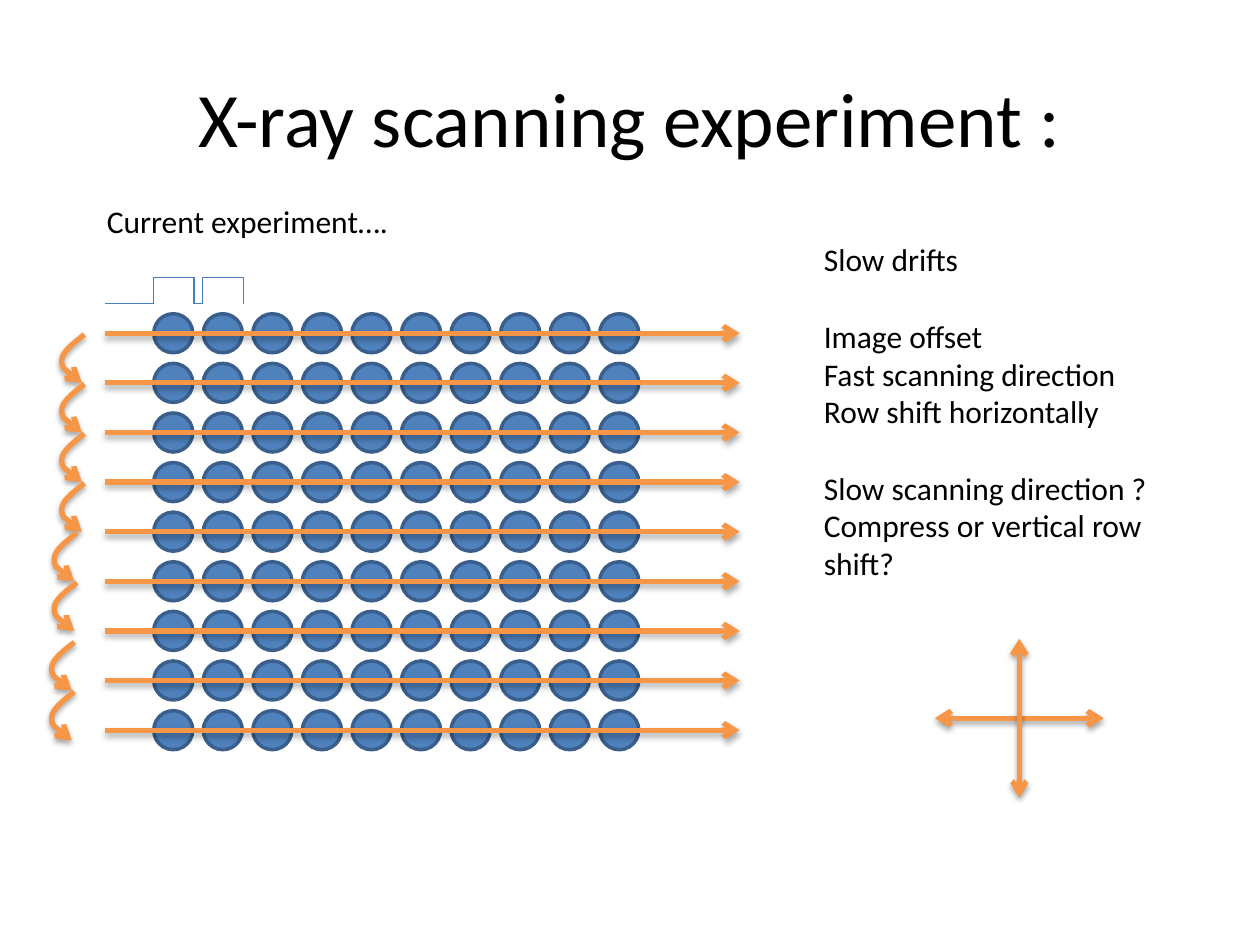
from itertools import pairwise

from lxml import etree
from pptx import Presentation, util as u
from pptx.dml.color import RGBColor
from pptx.enum import shapes, text
from pptx.oxml import parse_xml
from pptx.oxml.ns import nsdecls, qn

COLORS = {"dot": "4F81BD", "dot_edge": "3A5F8C", "beam": "F79646",
          "pulse": "4B7EBC", "text": "000000"}
FONT = "Calibri"
CELL = u.Inches(0.1)  # the slide is a grid of 100 columns by 75 rows

DOT_COLUMNS, DOT_ROWS = 10, 9
DOT_SIZE = 3.1
FIRST_X, LAST_X = 13.75, 49.15  # centres of the outer dots
FIRST_Y, LAST_Y = 26.45, 57.95
STEP_X = (LAST_X - FIRST_X) / (DOT_COLUMNS - 1)
STEP_Y = (LAST_Y - FIRST_Y) / (DOT_ROWS - 1)
BEAM_START, BEAM_END = 8.3, 58.7

# Start of each return sweep: column, and offset below its row's centre
RETURNS = [(6.7, 0.1)] * 4 + [(6.1, 0.1)] * 2 + [(5.9, 0.9)] * 2
RETURN_CURVE = [(-0.9, 0.7), (-1.8, 1.4), (-1.8, 2.05),
                (-1.8, 2.7), (-1, 3.25), (-0.2, 3.85)]

PULSE = [(8.3, 24.1), (12.2, 24.1), (12.2, 22), (15.4, 22), (15.4, 24.1),
         (16.1, 24.1), (16.1, 22), (19.3, 22), (19.3, 24.1)]

# Each group is set apart by one line's height
NOTES = [
    ["Slow drifts"],
    ["Image offset", "Fast scanning direction", "Row shift horizontally"],
    ["Slow scanning direction ?", "Compress or vertical row shift?"],
]


def cells(*counts):
    return [u.Emu(round(count * CELL)) for count in counts]


def color(name):
    return RGBColor.from_string(COLORS[name])


class SlideBuilder:
    def __init__(self, slide):
        self.slide = slide
        self.shapes = slide.shapes

    def format_paragraph(self, paragraph, size):
        for run in paragraph.runs:
            run.font.name = FONT
            run.font.size = u.Pt(size)
            run.font.color.rgb = color("text")

    def title(self, words, box):
        heading = self.shapes.title
        heading.left, heading.top, heading.width, heading.height = cells(*box)
        frame = heading.text_frame
        frame.text = words
        frame.vertical_anchor = text.MSO_ANCHOR.MIDDLE
        frame.paragraphs[0].alignment = text.PP_ALIGN.CENTER
        self.format_paragraph(frame.paragraphs[0], 44)

    def text_box(self, groups, box, size=18, gap=22):
        frame = self.shapes.add_textbox(*cells(*box)).text_frame
        frame.word_wrap = True
        frame.text = "\n".join(line for group in groups for line in group)
        group_starts = {sum(map(len, groups[:i])) for i in range(1, len(groups))}
        for i, paragraph in enumerate(frame.paragraphs):
            if i in group_starts:
                paragraph.space_before = u.Pt(gap)
            self.format_paragraph(paragraph, size)

    def dot(self, center_x, center_y):
        corner = center_x - DOT_SIZE / 2, center_y - DOT_SIZE / 2
        dot = self.shapes.add_shape(shapes.MSO_SHAPE.OVAL,
                                    *cells(*corner, DOT_SIZE, DOT_SIZE))
        dot.shadow.inherit = False
        dot.fill.solid()
        dot.fill.fore_color.rgb = color("dot")
        dot.line.color.rgb = color("dot_edge")
        dot.line.width = u.Pt(2)

    def line(self, start, end):
        return self.shapes.add_connector(shapes.MSO_CONNECTOR.STRAIGHT,
                                         *cells(*start, *end))

    def pulse(self, points):
        for start, end in pairwise(points):
            edge = self.line(start, end)
            edge.line.color.rgb = color("pulse")
            edge.line.width = u.Pt(0.75)
            etree.SubElement(edge._element.spPr, qn("a:effectLst"))

    def style_beam(self, beam, ends=("tailEnd",)):
        """Give a line its orange stroke, arrowheads and soft shadow."""
        beam.line.color.rgb = color("beam")
        beam.line.width = u.Pt(3)
        properties = beam._element.spPr
        for end in ends:
            etree.SubElement(properties.find(qn("a:ln")), qn(f"a:{end}"), type="arrow")
        properties.append(parse_xml(
            f'<a:effectLst {nsdecls("a")}><a:outerShdw blurRad="40000" dist="23000" '
            'dir="5400000" rotWithShape="0"><a:srgbClr val="000000">'
            '<a:alpha val="35000"/></a:srgbClr></a:outerShdw></a:effectLst>'))

    def beam(self, start, end, ends=("tailEnd",)):
        self.style_beam(self.line(start, end), ends)

    def return_sweep(self, x, y):
        """Draw the curved arrow that leads from one row to the next."""
        builder = self.shapes.build_freeform(*cells(x, y))
        builder.add_line_segments(
            [cells(x + dx, y + dy) for dx, dy in RETURN_CURVE], close=False)
        sweep = builder.convert_to_shape()
        sweep.fill.background()
        # Three vertices in a row become the control points of one curve
        outline = next(sweep._element.iter(qn("a:path")))
        vertices = outline.findall(qn("a:lnTo"))
        for i in range(0, len(vertices), 3):
            curve = etree.SubElement(outline, qn("a:cubicBezTo"))
            for vertex in vertices[i:i + 3]:
                curve.append(vertex[0])
                outline.remove(vertex)
        self.style_beam(sweep)


def main():
    deck = Presentation()
    deck.slide_width, deck.slide_height = cells(100, 75)
    page = SlideBuilder(deck.slides.add_slide(deck.slide_layouts[5]))

    page.title("X-ray scanning experiment :", (5, 3, 90, 12.5))
    page.text_box([["Current experiment…."]], (7.5, 15.5, 84.3, 10.1))

    row_centers = [FIRST_Y + row * STEP_Y for row in range(DOT_ROWS)]
    for y in row_centers:
        for column in range(DOT_COLUMNS):
            page.dot(FIRST_X + column * STEP_X, y)
    for y in row_centers:
        page.beam((BEAM_START, y), (BEAM_END, y))
    for y, (x, offset) in zip(row_centers, RETURNS):
        page.return_sweep(x, y + offset)

    page.pulse(PULSE)
    page.text_box(NOTES, (64.4, 18.6, 29.9, 34.3))
    both_ends = ("headEnd", "tailEnd")
    page.beam((74.2, 57), (87.6, 57), both_ends)
    page.beam((80.9, 50.7), (80.9, 63.3), both_ends)

    deck.save("out.pptx")


if __name__ == "__main__":
    main()
